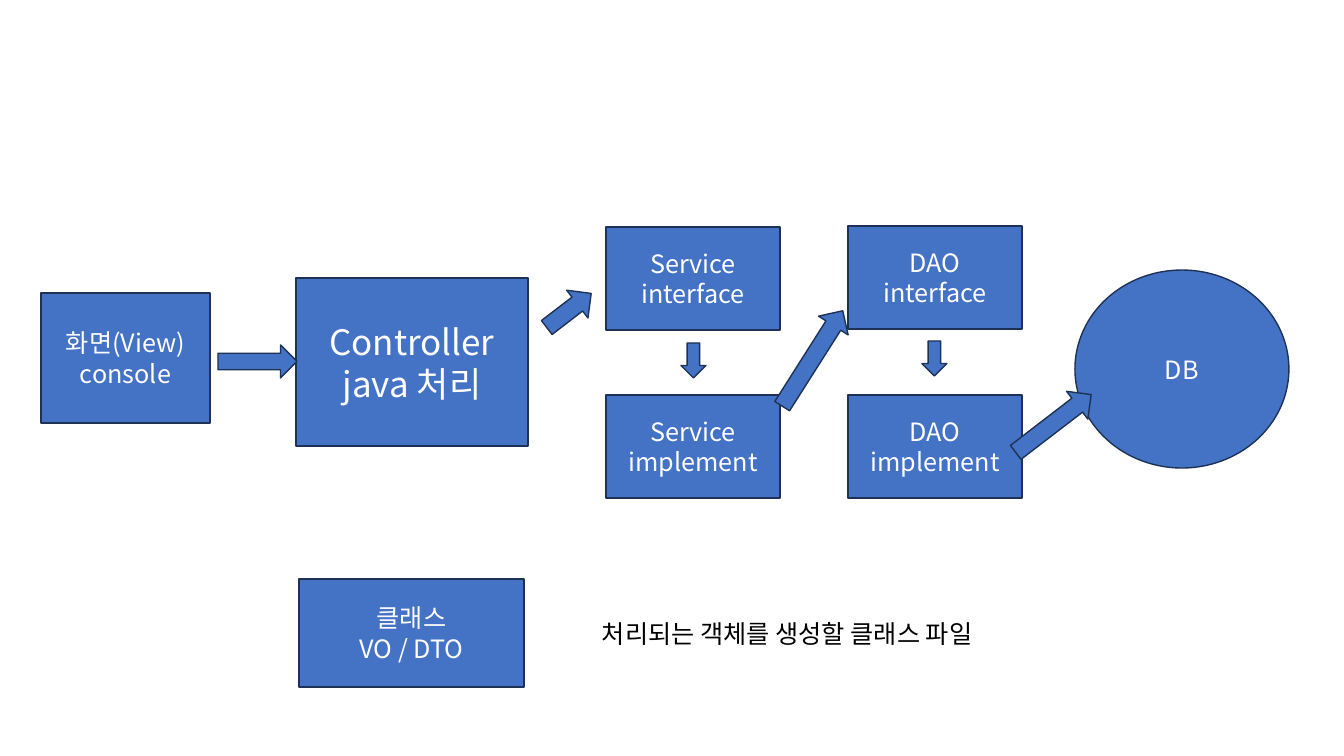
from lxml import etree
from pptx import Presentation
from pptx.dml.color import RGBColor
from pptx.enum.shapes import MSO_SHAPE
from pptx.enum.text import MSO_ANCHOR, MSO_AUTO_SIZE, PP_ALIGN
from pptx.oxml.ns import qn
from pptx.util import Pt

PX = 914400 / 100.8
FONT = "Noto Sans CJK KR"
COLORS = {"fill": "4472C4", "line": "1E3256", "light": "FFFFFF", "dark": "000000"}

prs = Presentation()
prs.slide_width, prs.slide_height = round(1344 * PX), round(756 * PX)
s = prs.slides.add_slide(prs.slide_layouts[6])


def write(sp, text, size, color, align):
    tf = sp.text_frame
    tf.word_wrap = True
    tf.vertical_anchor = MSO_ANCHOR.MIDDLE
    tf.text = text
    for p in tf.paragraphs:
        p.alignment = align
        p.font.size = Pt(size)
        p.font.name = FONT
        p.font.color.rgb = RGBColor.from_string(COLORS[color])
        # Korean letters take the East Asian typeface
        ea = etree.SubElement(p._p.pPr.find(qn("a:defRPr")), qn("a:ea"))
        ea.set("typeface", FONT)


def add_block(kind, box, rotation=0):
    sp = s.shapes.add_shape(kind, *[round(v * PX) for v in box])
    sp.rotation = rotation
    sp.shadow.inherit = False
    sp.fill.solid()
    sp.fill.fore_color.rgb = RGBColor.from_string(COLORS["fill"])
    sp.line.color.rgb = RGBColor.from_string(COLORS["line"])
    sp.line.width = Pt(1)
    return sp


# Labelled blocks: view, controller, database, value object
blocks = [
    (MSO_SHAPE.OVAL, (1075, 270, 214, 198), "DB", 18),
    (MSO_SHAPE.RECTANGLE, (41, 293, 169, 130), "화면(View)\nconsole", 18),
    (MSO_SHAPE.RECTANGLE, (296, 278, 232, 168), "Controller\njava 처리", 25),
    (MSO_SHAPE.RECTANGLE, (299, 579, 225, 108), "클래스\nVO / DTO", 18),
]

# Service and DAO layers: an interface above its implementation
for layer, left, top in [("Service", 606, 227), ("DAO", 848, 226)]:
    for part, y in [("interface", top), ("implement", 395)]:
        blocks.append((MSO_SHAPE.RECTANGLE, (left, y, 174, 103), f"{layer}\n{part}", 18))

for kind, box, text, size in blocks:
    write(add_block(kind, box), text, size, "light", PP_ALIGN.CENTER)

# Block arrows along the call flow
arrows = [
    (MSO_SHAPE.RIGHT_ARROW, (218, 345, 79, 33), 0),
    (MSO_SHAPE.RIGHT_ARROW, (541, 293, 56, 35), 322.5),
    (MSO_SHAPE.DOWN_ARROW, (681, 343, 25, 35), 0),
    (MSO_SHAPE.RIGHT_ARROW, (756, 341, 113, 35), 302.4),
    (MSO_SHAPE.DOWN_ARROW, (922, 341, 25, 35), 0),
    (MSO_SHAPE.RIGHT_ARROW, (1006, 406, 95, 35), 322.5),
]
for arrow in arrows:
    add_block(*arrow)

# Note beside the value object
note = s.shapes.add_textbox(*[round(v * PX) for v in (592, 613, 453, 40)])
write(note, "처리되는 객체를 생성할 클래스 파일", 18, "dark", PP_ALIGN.LEFT)
note.text_frame.auto_size = MSO_AUTO_SIZE.SHAPE_TO_FIT_TEXT

prs.save("out.pptx")
